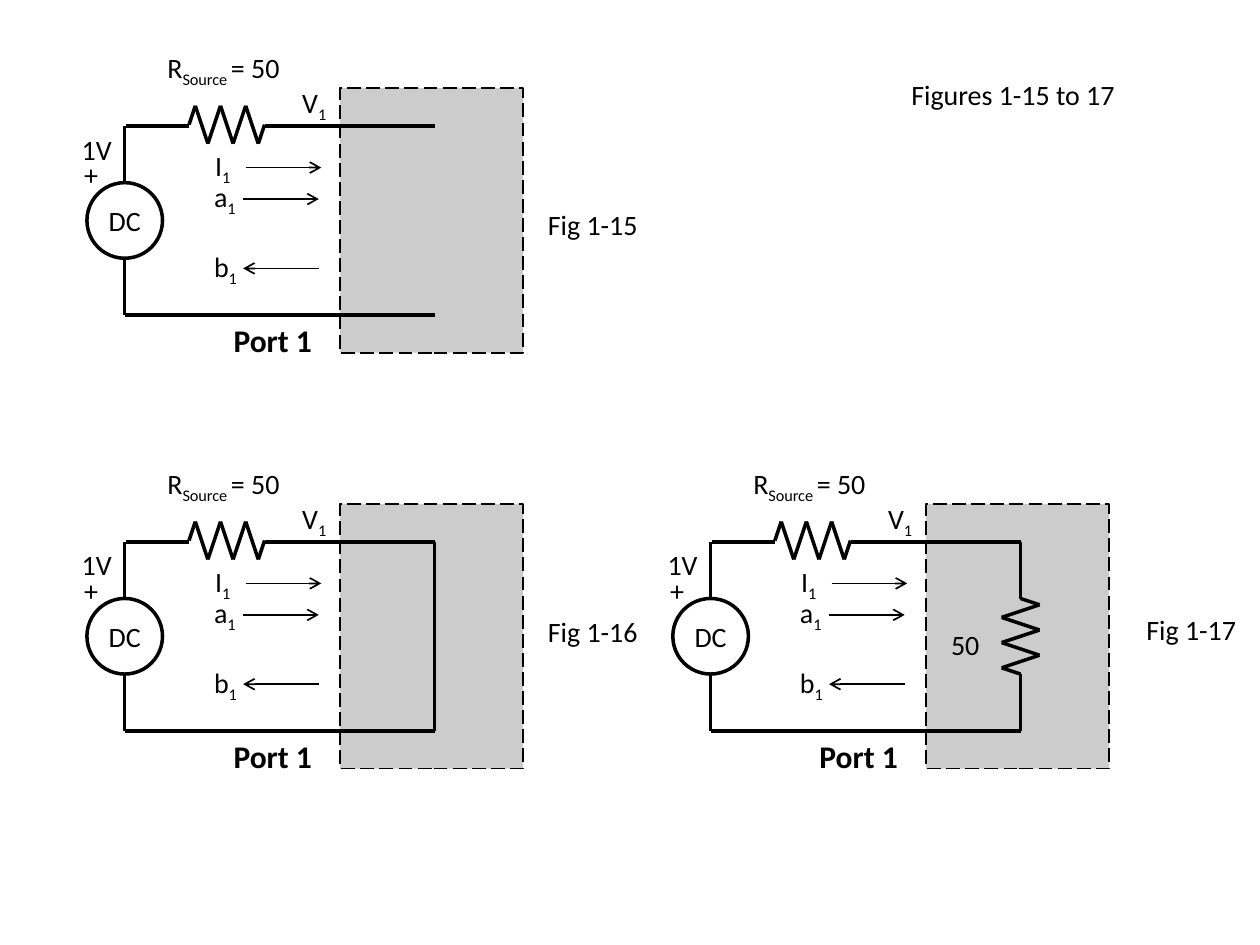
from itertools import pairwise
from lxml import etree
from pptx import Presentation
from pptx.dml.color import RGBColor
from pptx.enum.dml import MSO_LINE
from pptx.enum.shapes import MSO_CONNECTOR, MSO_SHAPE
from pptx.enum.text import MSO_ANCHOR, MSO_AUTO_SIZE, PP_ALIGN
from pptx.oxml.ns import qn
from pptx.util import Inches, Pt

STRAIGHT = MSO_CONNECTOR.STRAIGHT
RECTANGLE, OVAL = MSO_SHAPE.RECTANGLE, MSO_SHAPE.OVAL
LONG_DASH = MSO_LINE.LONG_DASH
MIDDLE, FIT = MSO_ANCHOR.MIDDLE, MSO_AUTO_SIZE.SHAPE_TO_FIT_TEXT
LEFT, CENTER = PP_ALIGN.LEFT, PP_ALIGN.CENTER

COLORS = {"ink": "000000"}
INK = RGBColor.from_string(COLORS["ink"])
FONT = "Calibri"
SUBSCRIPT = "-25000"

prs = Presentation()
prs.slide_width, prs.slide_height = Inches(10), Inches(7.5)
COL, ROW = prs.slide_width / 100, prs.slide_height / 75
slide = prs.slides.add_slide(prs.slide_layouts[6])


def wire(shapes, start, end, width=2, arrow=False):
    ends = [round(n * unit) for point in (start, end) for n, unit in zip(point, (COL, ROW))]
    line = shapes.add_connector(STRAIGHT, *ends)
    line.line.color.rgb = INK
    line.line.width = Pt(width)
    if arrow:
        etree.SubElement(line.line._get_or_add_ln(), qn("a:tailEnd"), type="arrow")
    etree.SubElement(line._element.spPr, qn("a:effectLst"))


def label(col, row, cols, parts, rows=3.7, size=16, bold=False, align=LEFT):
    box = slide.shapes.add_textbox(*(round(n) for n in (col * COL, row * ROW, cols * COL, rows * ROW)))
    frame = box.text_frame
    frame.word_wrap = False
    frame.auto_size = FIT
    paragraph = frame.paragraphs[0]
    paragraph.alignment = align
    for index, part in enumerate(parts):
        run = paragraph.add_run()
        run.text = part
        run.font.name, run.font.size, run.font.bold = FONT, Pt(size), bold
        run.font.color.rgb = INK
        if index == 1:
            run._r.get_or_add_rPr().set("baseline", SUBSCRIPT)
    return box


heading = label(65.8, 3, 29.2, ["Figures 1-15 to 17"], rows=9, align=CENTER).text_frame
heading.auto_size = MSO_AUTO_SIZE.NONE
heading.word_wrap = True
heading.vertical_anchor = MIDDLE

zigzag = [(0, 0), *((step + 0.5, 1.5 if step % 2 else -1.5) for step in range(6)), (6, 0)]
source_wires = [
    ((9.9, 25), (9.9, 20.5)), ((10, 10), (15, 10)), ((9.9, 25), (34.5, 25)),
    ((9.9, 14.5), (9.9, 10)), ((21, 10), (34.5, 10)),
]
wave_arrows = [((19.5, 13.3), (25.5, 13.3)), ((19.3, 15.8), (25.3, 15.8)), ((25.3, 21.3), (19.3, 21.3))]
circuit_labels = [
    (5.7, 12, 3.1, ["+"]), (12.3, 3.5, 11.5, ["R", "Source ", "= 50"]),
    (23, 6.3, 4.1, ["V", "1"]), (16.1, 11.3, 3.3, ["I", "1"]),
    (16, 13.8, 3.8, ["a", "1"]), (16, 19.3, 3.9, ["b", "1"]), (5.5, 10, 4.4, ["1V"]),
]
short_circuit = [((34.5, 25), (34.5, 10))]
load_leads = [((34.5, 25), (34.5, 20.5)), ((34.5, 14.5), (34.5, 10))]
circuits = [(0, 0, []), (0, 33, short_circuit), (46.5, 33, load_leads)]

for left, top, load_wires in circuits:
    port_box = slide.shapes.add_shape(
        RECTANGLE, *(round(n) for n in ((left + 27) * COL, (top + 7) * ROW, 14.5 * COL, 21 * ROW)))
    port_box.shadow.inherit = False
    port_box.fill.solid()
    port_box.fill.fore_color.rgb = INK
    tint = port_box._element.spPr.find(qn("a:solidFill"))[0]
    etree.SubElement(tint, qn("a:alpha"), val="20000")
    port_box.line.color.rgb = INK
    port_box.line.width = Pt(1)
    port_box.line.dash_style = LONG_DASH

    source = slide.shapes.add_shape(
        OVAL, *(round(n) for n in ((left + 6.9) * COL, (top + 14.5) * ROW, 6 * COL, 6 * ROW)))
    source.shadow.inherit = False
    source.fill.background()
    source.line.color.rgb = INK
    source.line.width = Pt(2)
    frame = source.text_frame
    frame.margin_left = frame.margin_right = frame.margin_top = frame.margin_bottom = 0
    frame.vertical_anchor = MIDDLE
    frame.text = "DC"
    frame.paragraphs[0].alignment = CENTER
    font = frame.paragraphs[0].runs[0].font
    font.name, font.size = FONT, Pt(16)
    font.color.rgb = INK

    for (x1, y1), (x2, y2) in source_wires + load_wires:
        wire(slide.shapes, (left + x1, top + y1), (left + x2, top + y2))
    for (x1, y1), (x2, y2) in wave_arrows:
        wire(slide.shapes, (left + x1, top + y1), (left + x2, top + y2), width=1, arrow=True)

    resistor = slide.shapes.add_group_shape()
    for (along1, across1), (along2, across2) in pairwise(zigzag):
        wire(resistor.shapes, (left + 15 + along1, top + 9.9 + across1),
             (left + 15 + along2, top + 9.9 + across2))

    for col, row, cols, parts in circuit_labels:
        label(left + col, top + row, cols, parts)
    label(left + 17.5, top + 25, 8.3, ["Port 1"], rows=4, size=18, bold=True, align=CENTER)

load_resistor = slide.shapes.add_group_shape()
for (along1, across1), (along2, across2) in pairwise(zigzag):
    wire(load_resistor.shapes, (81 - across1, 47.5 + along1), (81 - across2, 47.5 + along2))
label(74.5, 49.3, 4.3, ["50"])

for number, (col, row) in enumerate([(42.5, 16), (42.5, 48.3), (90, 48.1)], start=15):
    label(col, row, 9.2, [f"Fig 1-{number}"])

prs.save("out.pptx")
